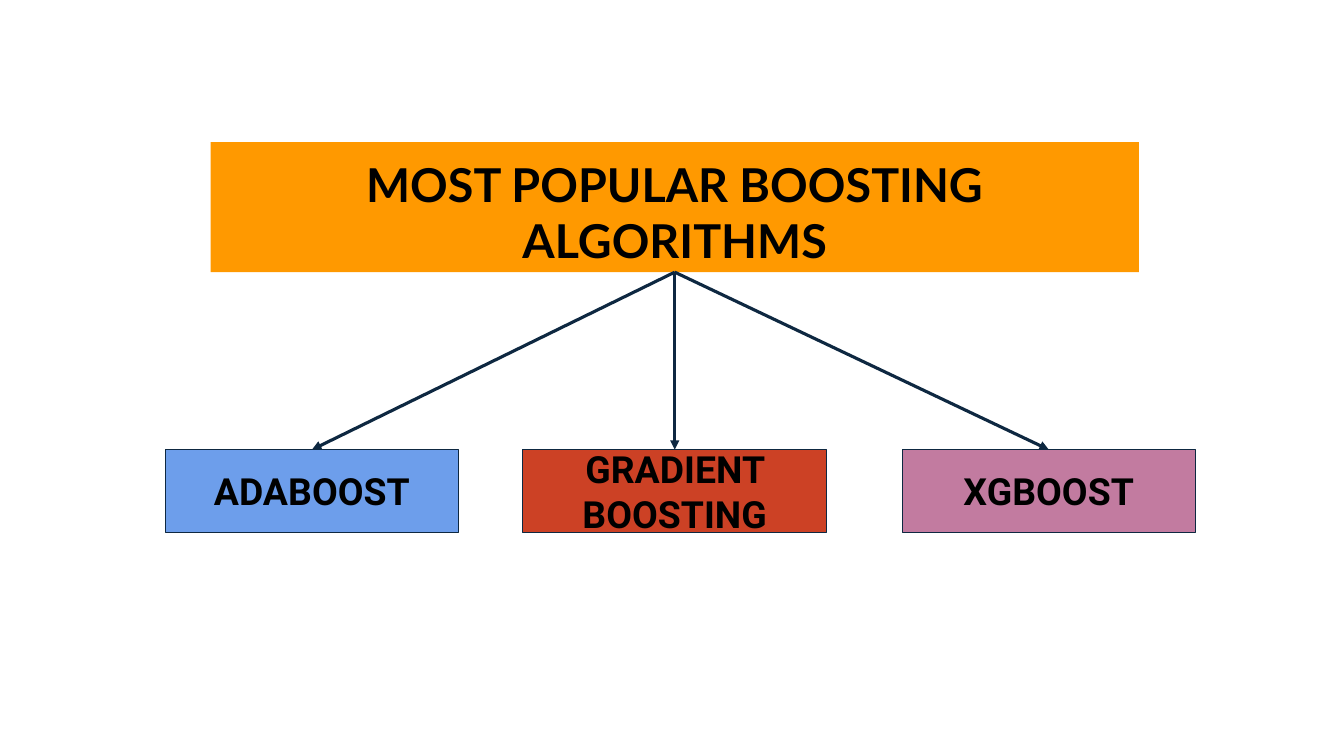
from lxml import etree
from pptx import Presentation
from pptx.dml.color import RGBColor
from pptx.enum import shapes, text
from pptx.oxml.ns import qn
from pptx.util import Pt

ORANGE = RGBColor(0xFF, 0x99, 0x00)
BLUE = RGBColor(0x6D, 0x9E, 0xEB)
RED = RGBColor(0xCC, 0x41, 0x25)
PINK = RGBColor(0xC2, 0x7B, 0xA0)
NAVY = RGBColor(0x0E, 0x28, 0x41)
BLACK = RGBColor(0, 0, 0)

BOTTOM, TOP = 2, 0  # connection sites of a rectangle

# Name, left, width, fill
ALGORITHMS = [
    ("ADABOOST", 118.1, 209.5, BLUE),
    ("GRADIENT BOOSTING", 373.3, 217.4, RED),
    ("XGBOOST", 644.4, 209.5, PINK),
]


def write_text(shape, wording, font="Roboto", size=26.7,
               anchor=text.MSO_ANCHOR.MIDDLE):
    frame = shape.text_frame
    frame.word_wrap = True
    frame.vertical_anchor = anchor
    frame.margin_left = frame.margin_right = Pt(9.6)
    frame.margin_top = frame.margin_bottom = Pt(9.6)
    paragraph = frame.paragraphs[0]
    paragraph.alignment = text.PP_ALIGN.CENTER
    run = paragraph.add_run()
    run.text = wording
    run.font.name = font
    run.font.size = Pt(size)
    run.font.bold = True
    run.font.color.rgb = BLACK


def add_box(slide, box, fill, line=None):
    shape = slide.shapes.add_shape(
        shapes.MSO_SHAPE.RECTANGLE, *[Pt(length) for length in box])
    shape.shadow.inherit = False
    shape.fill.solid()
    shape.fill.fore_color.rgb = fill
    if line is None:
        shape.line.fill.background()
    else:
        shape.line.color.rgb = line
        shape.line.width = Pt(0.75)
    return shape


def add_banner(slide, box):
    banner = add_box(slide, box, ORANGE)
    write_text(banner, "MOST POPULAR BOOSTING ALGORITHMS", font="Lato",
               size=33.3, anchor=text.MSO_ANCHOR.TOP)
    return banner


def add_arrow(slide, banner, target):
    arrow = slide.shapes.add_connector(
        shapes.MSO_CONNECTOR.STRAIGHT, 0, 0, 0, 0)
    arrow.begin_connect(banner, BOTTOM)
    arrow.end_connect(target, TOP)
    arrow.line.color.rgb = NAVY
    arrow.line.width = Pt(2.25)
    # Arrowhead, and no shadow
    etree.SubElement(arrow.line._get_or_add_ln(), qn("a:tailEnd"),
                     type="triangle")
    etree.SubElement(arrow._element.spPr, qn("a:effectLst"))


def add_algorithms(slide, banner, top, height):
    for name, left, width, fill in ALGORITHMS:
        shape = add_box(slide, (left, top, width, height), fill, line=NAVY)
        write_text(shape, name)
        add_arrow(slide, banner, shape)


def main():
    presentation = Presentation()
    presentation.slide_width = Pt(960)
    presentation.slide_height = Pt(540)
    slide = presentation.slides.add_slide(presentation.slide_layouts[6])
    banner = add_banner(slide, (150.5, 101.5, 663, 92.9))
    add_algorithms(slide, banner, top=321.2, height=59)
    presentation.save("out.pptx")


if __name__ == "__main__":
    main()
